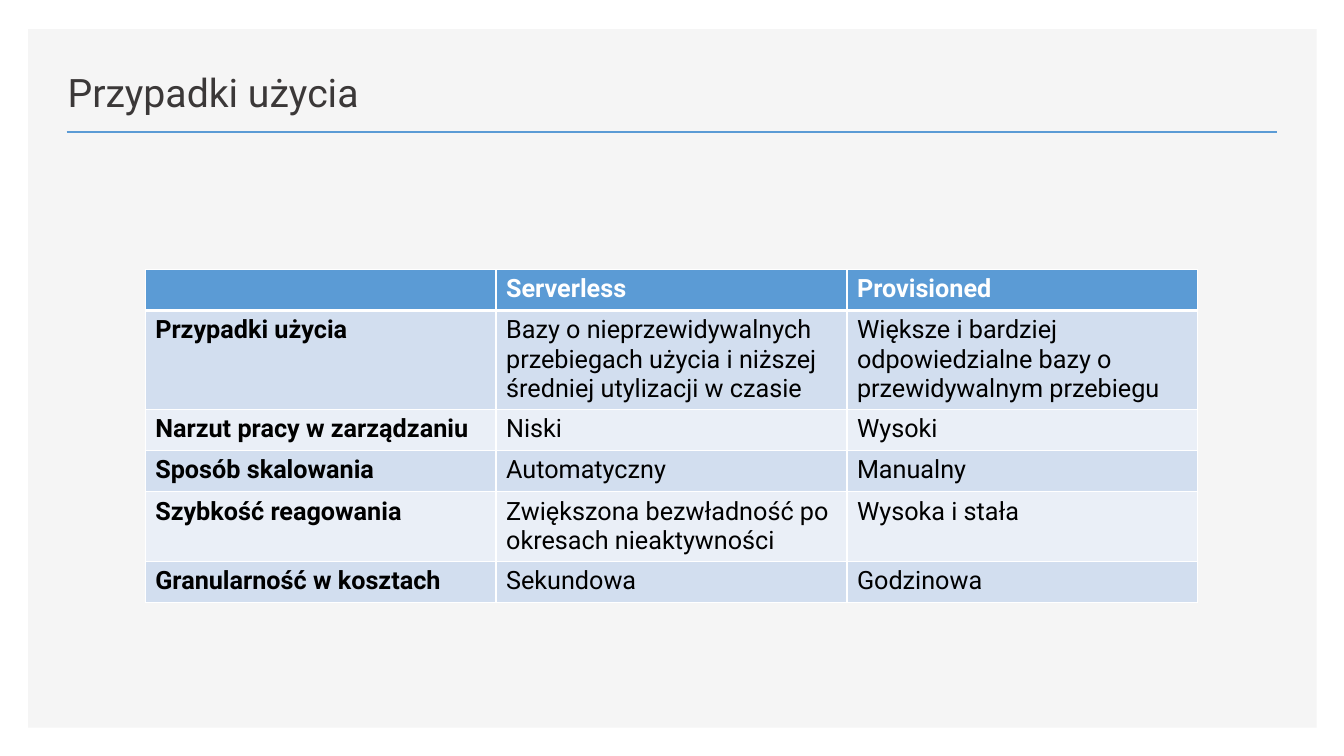
from dataclasses import dataclass

import pptx
import pptx.dml.color
import pptx.enum.shapes
import pptx.enum.text
import pptx.oxml
import pptx.oxml.ns
import pptx.util
from pptx.util import Inches


@dataclass(frozen=True)
class Theme:
    font: str = "Roboto"
    title_size: int = 28
    table_size: int = 18
    panel: str = "F5F5F5"
    accent: str = "5B9BD5"
    title: str = "3B3838"
    text: str = "000000"
    white: str = "FFFFFF"
    bands: tuple = ("D2DEEF", "EAEFF7")


def color(value):
    return pptx.dml.color.RGBColor.from_string(value)


class SlideBuilder:
    def __init__(self, slide, theme):
        self.slide = slide
        self.theme = theme

    def format_text(self, text_frame, size, text_color, bold=False):
        for paragraph in text_frame.paragraphs:
            for run in paragraph.runs:
                run.font.name = self.theme.font
                run.font.size = pptx.util.Pt(size)
                run.font.bold = bold
                run.font.color.rgb = color(text_color)

    def panel(self, left, top, width, height):
        shape = self.slide.shapes.add_shape(
            pptx.enum.shapes.MSO_SHAPE.RECTANGLE,
            Inches(left), Inches(top), Inches(width), Inches(height))
        shape.shadow.inherit = False
        shape.fill.solid()
        shape.fill.fore_color.rgb = color(self.theme.panel)
        shape.line.fill.background()
        # Keep the panel behind the title
        self.slide.shapes.title.element.addprevious(shape.element)

    def rule(self, left, right, top):
        line = self.slide.shapes.add_connector(
            pptx.enum.shapes.MSO_CONNECTOR.STRAIGHT,
            Inches(left), Inches(top), Inches(right), Inches(top))
        line.line.color.rgb = color(self.theme.accent)
        line.line.width = pptx.util.Pt(2)
        properties = line.element.find(pptx.oxml.ns.qn("p:spPr"))
        properties.append(pptx.oxml.parse_xml(
            f'<a:effectLst {pptx.oxml.ns.nsdecls("a")}/>'))

    def title(self, text, left, top, width, height):
        title = self.slide.shapes.title
        title.left, title.top = Inches(left), Inches(top)
        title.width, title.height = Inches(width), Inches(height)
        text_frame = title.text_frame
        text_frame.text = text
        text_frame.vertical_anchor = pptx.enum.text.MSO_ANCHOR.BOTTOM
        text_frame.paragraphs[0].alignment = pptx.enum.text.PP_ALIGN.LEFT
        self.format_text(text_frame, self.theme.title_size, self.theme.title)

    def border(self, cell, side, width):
        cell._tc.get_or_add_tcPr().append(pptx.oxml.parse_xml(
            f'<a:ln{side} {pptx.oxml.ns.nsdecls("a")} w="{pptx.util.Pt(width)}">'
            f'<a:solidFill><a:srgbClr val="{self.theme.white}"/></a:solidFill>'
            f'</a:ln{side}>'))

    def table(self, rows, left, top, column_width, row_heights):
        column_count = len(rows[0])
        table = self.slide.shapes.add_table(
            len(rows), column_count, Inches(left), Inches(top),
            Inches(column_width * column_count), Inches(sum(row_heights))).table
        for column in table.columns:
            column.width = Inches(column_width)
        for row_index, (texts, height) in enumerate(zip(rows, row_heights)):
            table.rows[row_index].height = Inches(height)
            is_header = row_index == 0
            fill = self.theme.accent if is_header else self.theme.bands[(row_index - 1) % 2]
            text_color = self.theme.white if is_header else self.theme.text
            # The line under the header is thicker
            widths = {"L": 1, "R": 1, "T": 3 if row_index == 1 else 1,
                      "B": 3 if is_header else 1}
            for column_index, text in enumerate(texts):
                cell = table.cell(row_index, column_index)
                for side, width in widths.items():
                    self.border(cell, side, width)
                cell.fill.solid()
                cell.fill.fore_color.rgb = color(fill)
                cell.text_frame.text = text
                self.format_text(cell.text_frame, self.theme.table_size, text_color,
                                 bold=is_header or column_index == 0)


USE_CASES = [
    ("", "Serverless", "Provisioned"),
    ("Przypadki użycia",
     "Bazy o nieprzewidywalnych przebiegach użycia i niższej średniej utylizacji w czasie",
     "Większe i bardziej odpowiedzialne bazy o przewidywalnym przebiegu"),
    ("Narzut pracy w zarządzaniu", "Niski", "Wysoki"),
    ("Sposób skalowania", "Automatyczny", "Manualny"),
    ("Szybkość reagowania", "Zwiększona bezwładność po okresach nieaktywności",
     "Wysoka i stała"),
    ("Granularność w kosztach", "Sekundowa", "Godzinowa"),
]


def main():
    presentation = pptx.Presentation()
    presentation.slide_width = Inches(13.33)
    presentation.slide_height = Inches(7.5)
    slide = presentation.slides.add_slide(presentation.slide_layouts[5])
    builder = SlideBuilder(slide, Theme())

    # Background and heading
    builder.panel(0.28, 0.29, 12.78, 6.93)
    builder.title("Przypadki użycia", 0.57, 0.49, 7.52, 0.7)
    builder.rule(0.66, 12.67, 1.31)

    # Comparison table
    builder.table(USE_CASES, 1.44, 2.67, 3.48, [0.41, 0.98, 0.41, 0.41, 0.69, 0.41])

    presentation.save("out.pptx")


if __name__ == "__main__":
    main()
